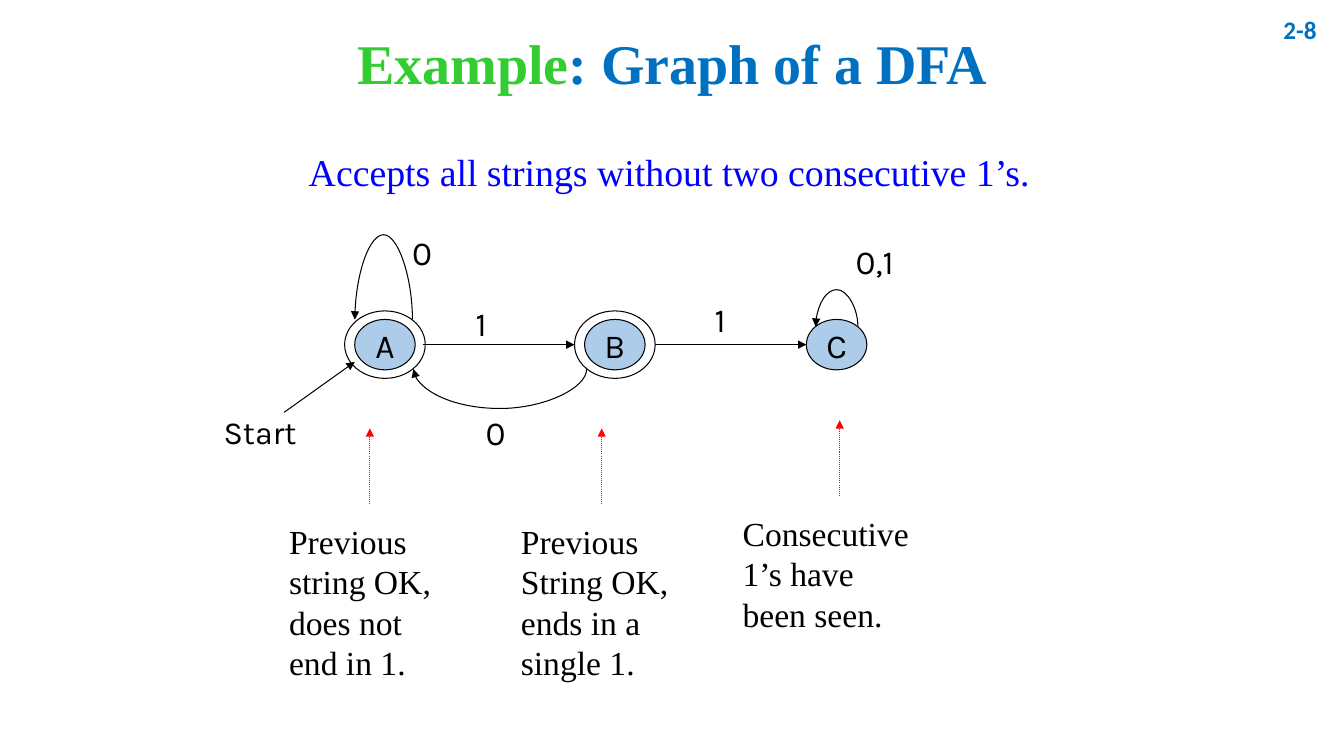
from dataclasses import dataclass
from typing import Any

import pptx
import pptx.dml.color
import pptx.enum.dml
import pptx.enum.shapes
import pptx.enum.text
import pptx.oxml.ns
import pptx.util

Pt = pptx.util.Pt
RGBColor = pptx.dml.color.RGBColor
ALIGN = pptx.enum.text.PP_ALIGN
ANCHOR = pptx.enum.text.MSO_ANCHOR
CONNECTOR = pptx.enum.shapes.MSO_CONNECTOR
qn = pptx.oxml.ns.qn

BLACK = RGBColor(0x00, 0x00, 0x00)
RED = RGBColor(0xFF, 0x00, 0x00)
GREEN = RGBColor(0x33, 0xCC, 0x33)
TITLE_BLUE = RGBColor(0x00, 0x70, 0xC0)
TEXT_BLUE = RGBColor(0x00, 0x00, 0xFF)
STATE_BLUE = RGBColor(0x5B, 0x9B, 0xD5)

SERIF = "Times New Roman"
SANS = "Karla"
LINE_WIDTH = 0.75
STATE_W, STATE_H = 43.2, 36
RING_W, RING_H = 57.6, 48.2
STATE_Y = 246.2
ARC_BOX = 0.15  # width of the box that an arc's depth is measured in


@dataclass
class Run:
    text: str
    color: RGBColor = BLACK
    size: float = 24
    font: str = SANS
    bold: bool = False


@dataclass
class Label:
    x: float
    y: float
    w: float
    h: float
    paragraphs: list[list[Run]]
    frame: dict[str, Any]
    para: dict[str, Any]


@dataclass
class State:
    name: str
    x: float
    accepting: bool


@dataclass
class Arrow:
    x1: float
    y1: float
    x2: float
    y2: float
    color: RGBColor = BLACK
    dotted: bool = False


@dataclass
class Arc:
    """An arrow from right to left; a positive depth hangs down."""
    right: float
    left: float
    y: float
    depth: float


@dataclass
class Note:
    arrow_x: float
    arrow_y: float
    text_x: float
    w: float
    lines: list[str]


def apply(target: Any, values: dict[str, Any]) -> None:
    for name, value in values.items():
        setattr(target, name, value)


def fill_text(tf: Any, paragraphs: list[list[Run]], frame: dict[str, Any],
              para: dict[str, Any]) -> None:
    apply(tf, frame)
    for i, runs in enumerate(paragraphs):
        p = tf.add_paragraph() if i else tf.paragraphs[0]
        apply(p, para)
        for run in runs:
            r = p.add_run()
            r.text = run.text
            apply(r.font, {"name": run.font, "size": Pt(run.size), "bold": run.bold})
            r.font.color.rgb = run.color


def add_label(s: Any, label: Label) -> None:
    sp = s.shapes.add_textbox(Pt(label.x), Pt(label.y), Pt(label.w), Pt(label.h))
    fill_text(sp.text_frame, label.paragraphs, label.frame, label.para)


def add_ellipse(s: Any, x: float, w: float, h: float) -> Any:
    sp = s.shapes.add_shape(pptx.enum.shapes.MSO_SHAPE.OVAL,
                            Pt(x - w / 2), Pt(STATE_Y - h / 2), Pt(w), Pt(h))
    sp.shadow.inherit = False
    sp.line.color.rgb = BLACK
    sp.line.width = Pt(LINE_WIDTH)
    return sp


def add_state(s: Any, state: State) -> None:
    sp = add_ellipse(s, state.x, STATE_W, STATE_H)
    sp.fill.solid()
    sp.fill.fore_color.rgb = STATE_BLUE
    color = sp._element.spPr.find(qn("a:solidFill")).find(qn("a:srgbClr"))
    color.append(color.makeelement(qn("a:alpha"), {"val": "50000"}))
    fill_text(sp.text_frame, [[Run(state.name)]],
              {"word_wrap": False, "vertical_anchor": ANCHOR.MIDDLE},
              {"alignment": ALIGN.CENTER})
    if state.accepting:
        add_ellipse(s, state.x, RING_W, RING_H).fill.background()


def add_arrow(s: Any, arrow: Arrow, kind: Any = CONNECTOR.STRAIGHT) -> Any:
    cx = s.shapes.add_connector(kind, Pt(arrow.x1), Pt(arrow.y1),
                                Pt(arrow.x2), Pt(arrow.y2))
    cx.line.color.rgb = arrow.color
    cx.line.width = Pt(LINE_WIDTH)
    if arrow.dotted:
        cx.line.dash_style = pptx.enum.dml.MSO_LINE.ROUND_DOT
    props = cx._element.spPr
    ln = props.find(qn("a:ln"))
    ln.append(ln.makeelement(qn("a:tailEnd"), {"type": "triangle"}))
    props.append(props.makeelement(qn("a:effectLst"), {}))
    return cx


def add_arc(s: Any, arc: Arc) -> None:
    # An upright curve, turned a quarter about its middle
    mid, half = (arc.left + arc.right) / 2, (arc.right - arc.left) / 2
    cx = add_arrow(s, Arrow(mid, arc.y - half, mid + ARC_BOX, arc.y + half),
                   CONNECTOR.CURVE)
    props = cx._element.spPr
    props.find(qn("a:xfrm")).set("rot", str(90 * 60000))
    adjust = props.find(qn("a:prstGeom")).find(qn("a:avLst"))
    value = round(arc.depth / ARC_BOX * 100000)
    adjust.append(adjust.makeelement(qn("a:gd"), {"name": "adj1", "fmla": f"val {value}"}))


def add_note(s: Any, note: Note) -> None:
    add_arrow(s, Arrow(note.arrow_x, note.arrow_y + 54, note.arrow_x, note.arrow_y,
                       RED, True))
    add_label(s, Label(note.text_x, note.arrow_y + 62.6, note.w, 7.2 + 29 * len(note.lines),
                       [[Run(line, font=SERIF)] for line in note.lines],
                       {"word_wrap": False}, {}))


HEADINGS = [
    Label(883.4, -0.7, 64.1, 43.2, [[Run("2-8", TITLE_BLUE, 18, "Calibri", True)]],
          {"word_wrap": True, "vertical_anchor": ANCHOR.MIDDLE}, {"alignment": ALIGN.RIGHT}),
    Label(66.2, 13, 828, 68.4,
          [[Run("Example", GREEN, 40, SERIF, True),
            Run(": Graph of a DFA", TITLE_BLUE, 40, SERIF, True)]],
          {"word_wrap": True, "vertical_anchor": ANCHOR.MIDDLE},
          {"alignment": ALIGN.CENTER, "line_spacing": 0.9}),
    Label(117.4, 103, 721.4, 39.6,
          [[Run("Accepts all strings without two consecutive 1’s.", TEXT_BLUE, 27, SERIF)]],
          {"word_wrap": True}, {"alignment": ALIGN.CENTER}),
]
EDGE_LABELS = [
    ("Start", 152.6, 290.9, 70, 23), ("1", 332.6, 213.1, 27.4, 24),
    ("0", 339.8, 290.9, 27.4, 24), ("1", 503.3, 210.2, 27.4, 24),
    ("0", 287.3, 162, 27.4, 24), ("0,1", 604.1, 168.5, 47.5, 24),
]
STATES = [State("A", 275, True), State("B", 439.2, True), State("C", 597.6, False)]
ARROWS = [Arrow(203, 294.5, 253.4, 258.5), Arrow(302.4, STATE_Y, 410.4, STATE_Y),
          Arrow(468, STATE_Y, 576, STATE_Y)]
ARCS = [Arc(294.5, 253.4, 228.2, -64), Arc(419, 295.2, 263.5, 30),
        Arc(612.7, 582.5, 233.3, -27.9)]
NOTES = [
    Note(264.2, 306, 199.4, 115.9, ["Previous", "string OK,", "does not", "end in 1."]),
    Note(429.8, 306, 365, 119.5, ["Previous", "String OK,", "ends in a", "single 1."]),
    Note(599.8, 300.2, 523.4, 157, ["Consecutive", "1’s have", "been seen."]),
]


def main() -> None:
    prs = pptx.Presentation()
    prs.slide_width, prs.slide_height = Pt(960), Pt(540)
    s = prs.slides.add_slide(prs.slide_layouts[6])
    # Headings and edge labels
    for label in HEADINGS:
        add_label(s, label)
    for text, x, y, w, size in EDGE_LABELS:
        add_label(s, Label(x, y, w, 36, [[Run(text, size=size)]], {"word_wrap": False}, {}))
    # Automaton and the notes below it
    for draw, items in ((add_state, STATES), (add_arrow, ARROWS),
                        (add_arc, ARCS), (add_note, NOTES)):
        for item in items:
            draw(s, item)
    prs.save("out.pptx")


if __name__ == "__main__":
    main()
